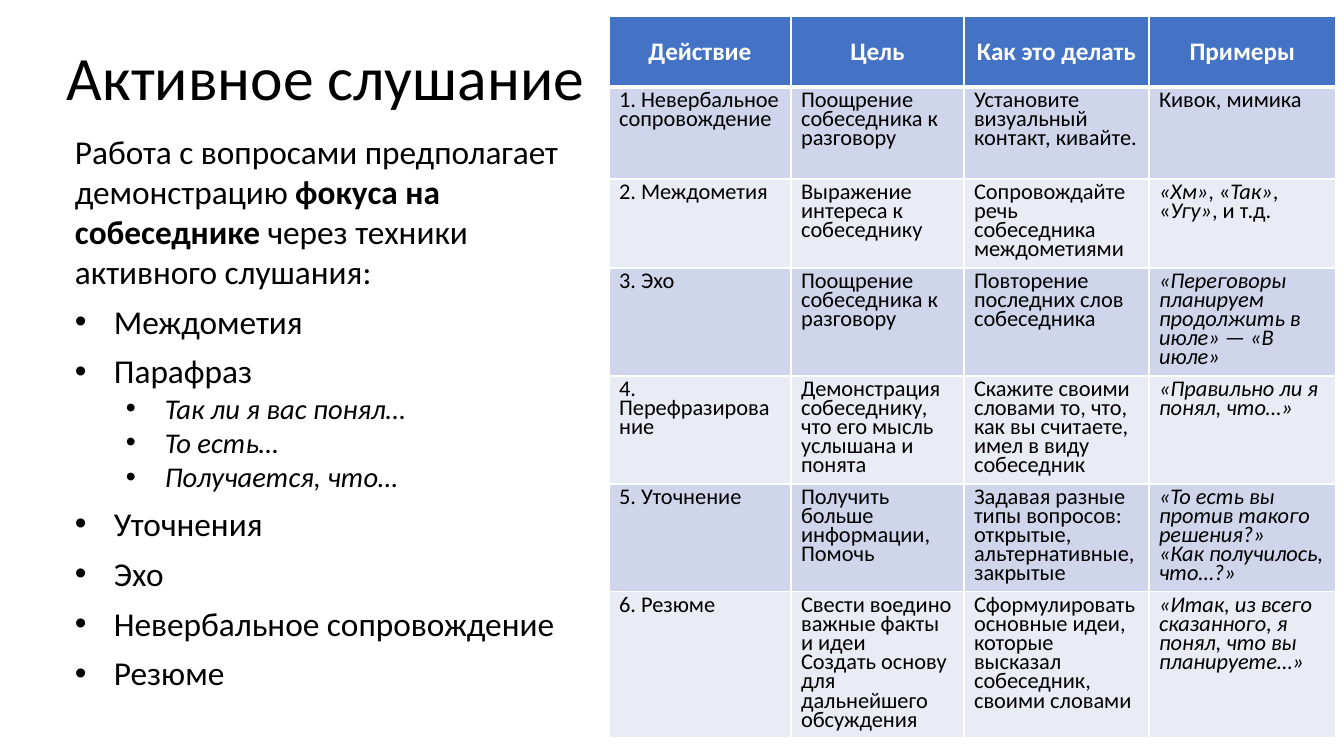
from lxml import etree
from pptx import Presentation
from pptx.dml.color import RGBColor
from pptx.enum.text import MSO_ANCHOR, MSO_AUTO_SIZE, PP_ALIGN
from pptx.oxml.ns import qn
from pptx.util import Pt

EMU_PER_PX = 914400 / 100.8
LEFT, CENTER = PP_ALIGN.LEFT, PP_ALIGN.CENTER
TOP, MIDDLE = MSO_ANCHOR.TOP, MSO_ANCHOR.MIDDLE
NO_AUTOFIT = MSO_AUTO_SIZE.NONE
TITLE_ONLY = 5

BLACK, WHITE = "000000", "FFFFFF"
HEADER_FILL = "4472C4"
BAND_FILLS = ("CFD5EA", "E9EBF5")

INTRO = "Работа с вопросами предполагает демонстрацию *фокуса на собеседнике* через техники активного слушания:"
TECHNIQUES = [
    (0, "Междометия"),
    (0, "Парафраз"),
    (1, "*Так ли я вас понял…*"),
    (1, "*То есть…*"),
    (1, "*Получается, что…*"),
    (0, "Уточнения"),
    (0, "Эхо"),
    (0, "Невербальное сопровождение"),
    (0, "Резюме"),
]
COLUMN_WIDTHS = [182, 173, 185, 187]
ROW_HEIGHTS = [71, 92, 89, 108, 108, 108, 146]
ACTIONS = [
    ("Действие", "Цель", "Как это делать", "Примеры"),
    ("1. Невербальное сопровождение", "Поощрение собеседника к разговору",
     "Установите визуальный контакт, кивайте.", "Кивок, мимика"),
    ("2. Междометия", "Выражение интереса к собеседнику",
     "Сопровождайте речь собеседника междометиями", "*«Хм»*, «*Так»*, «*Угу»*, и т.д."),
    ("3. Эхо", "Поощрение собеседника к разговору",
     "Повторение последних слов собеседника",
     "*«Переговоры планируем продолжить в июле» *— *«В июле»*"),
    ("4. Перефразирование", "Демонстрация собеседнику, что его мысль услышана и понята",
     "Скажите своими словами то, что, как вы считаете, имел в виду собеседник",
     "*«Правильно ли я понял, что…»*"),
    ("5. Уточнение", "Получить больше информации,\nПомочь",
     "Задавая разные типы вопросов: открытые, альтернативные, закрытые",
     "*«То есть вы против такого решения?»*\n*«Как получилось, что…?»*"),
    ("6. Резюме", "Свести воедино важные факты и идеи\nСоздать основу для дальнейшего обсуждения",
     "Сформулировать основные идеи, которые высказал собеседник, своими словами",
     "*«Итак, из всего сказанного, я понял, что вы планируете…»*"),
]


def px(length):
    """Turn pixels into EMU."""
    return round(length * EMU_PER_PX)


def color(hex_string):
    """Turn a hex string into a colour."""
    return RGBColor.from_string(hex_string)


class SlideBuilder:
    """Hold the text style and the current slide."""

    def __init__(self, slide, font="Calibri"):
        """Keep the slide and its font."""
        self.slide = slide
        self.font = font

    def add_runs(self, paragraph, text, size, hex_color=BLACK, bold=False, bold_emphasis=False):
        """Add runs, with emphasis between asterisks."""
        for index, piece in enumerate(text.split("*")):
            if piece:
                emphasized = index % 2 == 1
                run = paragraph.add_run()
                run.text = piece
                run.font.name = self.font
                run.font.size = Pt(size)
                run.font.bold = bold or (emphasized and bold_emphasis)
                run.font.italic = emphasized and not bold_emphasis
                run.font.color.rgb = color(hex_color)

    def indent(self, paragraph, margin, hanging=0, bullet=None):
        """Set the left margin, hanging indent and bullet."""
        properties = paragraph._p.get_or_add_pPr()
        properties.set("marL", str(px(margin)))
        properties.set("indent", str(-px(hanging)))
        if bullet:
            etree.SubElement(properties, qn("a:buFont"), typeface="Arial")
            etree.SubElement(properties, qn("a:buChar"), char=bullet)

    def title(self, text, left, top, width, height):
        """Place and fill the title placeholder."""
        shape = self.slide.shapes.title
        shape.left, shape.top, shape.width, shape.height = map(px, (left, top, width, height))
        frame = shape.text_frame
        frame.auto_size = NO_AUTOFIT
        frame.word_wrap = True
        frame.vertical_anchor = MIDDLE
        frame.margin_left = frame.margin_right = frame.margin_bottom = 0
        frame.margin_top = px(1)
        paragraph = frame.paragraphs[0]
        paragraph.alignment = LEFT
        self.indent(paragraph, 2)
        self.add_runs(paragraph, text, 44)

    def bullet_list(self, intro, items, left, top, width, height):
        """Add an introduction followed by a two-level list."""
        frame = self.slide.shapes.add_textbox(*map(px, (left, top, width, height))).text_frame
        frame.word_wrap = True
        self.add_runs(frame.paragraphs[0], intro, 23.8, bold_emphasis=True)
        for level, text in items:
            paragraph = frame.add_paragraph()
            paragraph.level = level
            paragraph.space_before = Pt(0 if level else 7)
            self.indent(paragraph, 90 if level else 39, 39, "•")
            self.add_runs(paragraph, text, 20.4 if level else 23.8)

    def borders(self, cell, row_index):
        """Draw white cell borders, thick below the header."""
        properties = cell._tc.get_or_add_tcPr()
        top = 3 if row_index == 1 else 1
        bottom = 3 if row_index == 0 else 1
        for side, width in (("L", 1), ("R", 1), ("T", top), ("B", bottom)):
            line = etree.SubElement(properties, qn(f"a:ln{side}"), w=str(Pt(width)))
            fill = etree.SubElement(line, qn("a:solidFill"))
            etree.SubElement(fill, qn("a:srgbClr"), val=WHITE)

    def cell(self, cell, text, row_index):
        """Fill and format one table cell."""
        header = row_index == 0
        self.borders(cell, row_index)
        cell.fill.solid()
        cell.fill.fore_color.rgb = color(HEADER_FILL if header else BAND_FILLS[(row_index - 1) % 2])
        cell.vertical_anchor = MIDDLE if header else TOP
        frame = cell.text_frame
        for index, line in enumerate(text.split("\n")):
            paragraph = frame.add_paragraph() if index else frame.paragraphs[0]
            paragraph.alignment = CENTER if header else LEFT
            paragraph.line_spacing = 1.0 if header else 0.7
            self.add_runs(paragraph, line, 18 if header else 16, WHITE if header else BLACK, header)

    def table(self, rows, left, top, widths, heights):
        """Add a table with a header and banded rows."""
        bounds = map(px, (left, top, sum(widths), sum(heights)))
        table = self.slide.shapes.add_table(len(heights), len(widths), *bounds).table
        for column, width in zip(table.columns, widths):
            column.width = px(width)
        for row_index, (row, height, texts) in enumerate(zip(table.rows, heights, rows)):
            row.height = px(height)
            for cell, text in zip(row.cells, texts):
                self.cell(cell, text, row_index)


def main():
    """Build and save the slide."""
    presentation = Presentation()
    presentation.slide_width, presentation.slide_height = px(1344), px(756)
    slide = presentation.slides.add_slide(presentation.slide_layouts[TITLE_ONLY])
    builder = SlideBuilder(slide)
    builder.title("Активное слушание", 65, 37, 528, 76)
    builder.bullet_list(INTRO, TECHNIQUES, 65, 126, 559, 604)
    builder.table(ACTIONS, 609, 16, COLUMN_WIDTHS, ROW_HEIGHTS)
    presentation.save("out.pptx")


if __name__ == "__main__":
    main()
